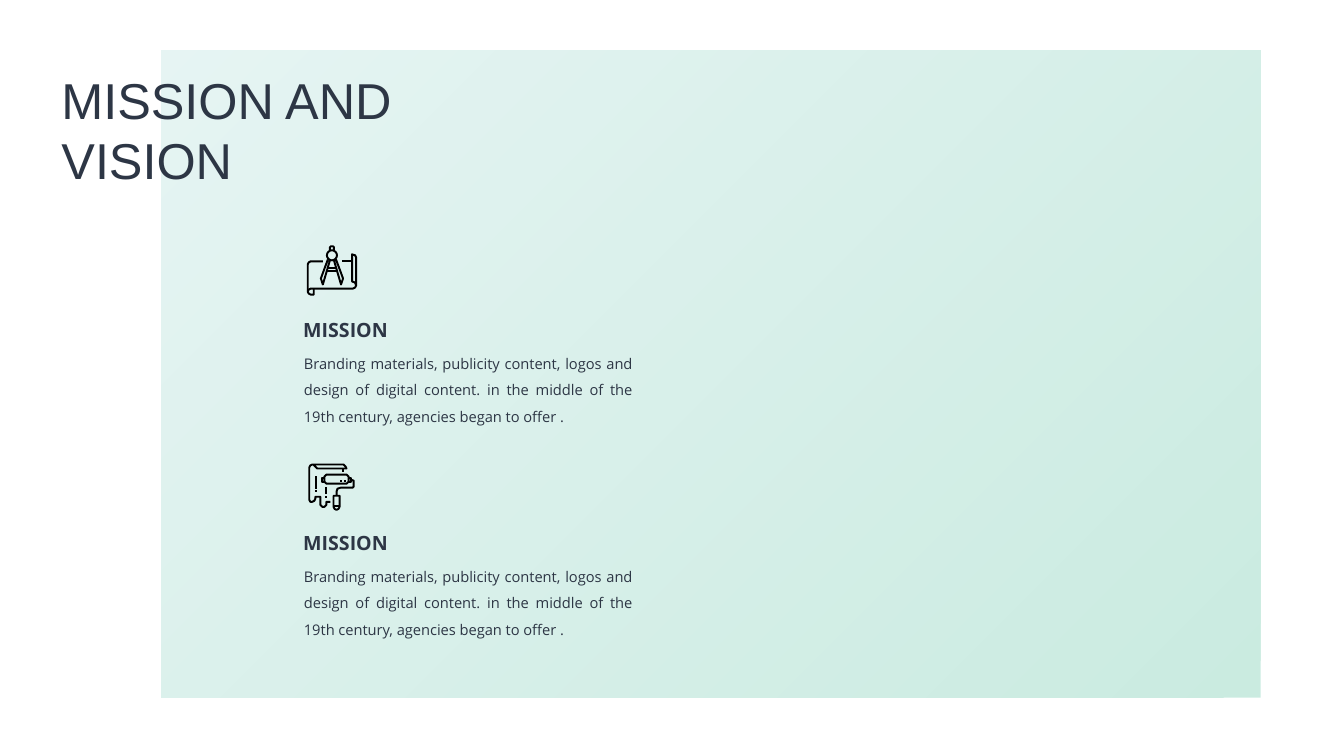
from dataclasses import dataclass
from math import cos, pi, sin

from lxml import etree
from pptx import Presentation
from pptx import util as u
from pptx.dml.color import RGBColor
from pptx.enum import shapes, text
from pptx.oxml.ns import qn


@dataclass(frozen=True)
class Theme:
    ink: str = "2D3645"
    icon: str = "000000"
    panel_start: str = "50BE99"
    panel_end: str = "ADDDDA"
    panel_opacity: int = 30
    title_font: str = "Arial"
    body_font: str = "Open Sans"
    title_size: float = 36
    heading_size: float = 14
    body_size: float = 10.5
    icon_line: float = 1.4
    icon_grid: float = 2.54  # length of 100 grid steps


STATEMENT = ("Branding materials, publicity content, logos and design of digital content. "
             "in the middle of the 19th century, agencies began to offer .")

SHEET = [
    [(16, 16), (4, 16), (2, 17), (1, 19), (1, 46), (2, 48), (4, 49), (7, 49), (7, 43)],
    [(1, 46), (2, 44), (4, 43), (46, 43), (48, 42), (49, 40), (49, 12), (48, 10),
     (45, 9), (45, 36), (48, 37), (49, 40)],
    [(35, 16), (45, 16)],
]
HINGE = [(25 + 5 * cos(k * pi / 8), 10 + 5 * sin(k * pi / 8)) for k in range(17)]
LEFT_LEG = [(21, 14), (14, 33), (16, 39), (23, 15)]
COMPASS = [
    HINGE,
    [(23, 5), (23, 2), (24, 1), (26, 1), (27, 2), (27, 5)],
    LEFT_LEG,
    [(50 - x, y) for x, y in LEFT_LEG],
    [(21, 23), (29, 23)],
    [(20, 26), (30, 26)],
]
ROLLER = [
    [(18, 11), (38, 11), (40, 13), (40, 18), (38, 20), (18, 20), (16, 18), (16, 13), (18, 11)],
    [(16, 14), (14, 14), (14, 18), (16, 18)],
    [(40, 14), (42, 14), (42, 18), (40, 18)],
    [(42, 16), (45, 17), (45, 23), (44, 24), (32, 24), (29, 25), (28, 28), (28, 32)],
    [(25, 32), (31, 32), (31, 43), (30, 45), (28, 46), (26, 45), (25, 43), (25, 32)],
    [(25, 42), (31, 42)],
]
PAINT = [
    [(22, 38), (18, 38), (18, 41), (16, 43), (14, 43), (12, 41), (12, 33), (7, 33),
     (7, 35), (6, 37), (4, 38), (2, 38), (1, 36), (1, 4), (2, 2), (4, 1), (35, 1),
     (37, 3), (38, 5), (9, 5), (7, 3), (5, 1)],
    [(34, 5), (34, 8)],
]
# left, top and height of each drip and dot on the icon grid
DRIPS = [(7, 12, 13), (17, 23, 7), (7, 26, 2), (17, 32, 2), (31, 16, 2), (35, 16, 2)]
DRIP_WIDTH = 2


class SlideBuilder:
    def __init__(self, slide, theme):
        self.shapes = slide.shapes
        self.theme = theme

    def panel(self, left, top, width, height):
        """Translucent gradient rectangle turned by a quarter; the box is given before turning."""
        panel = self.shapes.add_shape(shapes.MSO_SHAPE.RECTANGLE, u.Cm(left), u.Cm(top),
                                      u.Cm(width), u.Cm(height))
        panel.rotation = 90
        panel.shadow.inherit = False
        panel.line.fill.background()
        panel.fill.gradient()
        panel.fill.gradient_angle = 225
        colors = (self.theme.panel_start, self.theme.panel_end)
        for position, (stop, color) in enumerate(zip(panel.fill.gradient_stops, colors)):
            stop.position = position
            stop.color.rgb = RGBColor.from_string(color)
        for color in panel._element.spPr.iter(qn("a:srgbClr")):
            etree.SubElement(color, qn("a:alpha"), val=str(self.theme.panel_opacity * 1000))

    def label(self, words, left, top, width, height, size, font=None, bold=False,
              spacing=None, align=None):
        box = self.shapes.add_textbox(u.Cm(left), u.Cm(top), u.Cm(width), u.Cm(height))
        box.text_frame.word_wrap = True
        box.text_frame.auto_size = text.MSO_AUTO_SIZE.SHAPE_TO_FIT_TEXT
        paragraph = box.text_frame.paragraphs[0]
        paragraph.text = words
        paragraph.alignment = align
        paragraph.line_spacing = spacing
        paragraph.font.name = font or self.theme.body_font
        paragraph.font.size = u.Pt(size)
        paragraph.font.bold = bold
        paragraph.font.color.rgb = RGBColor.from_string(self.theme.ink)

    def outline(self, contours, left, top):
        """Freeform from point lists on the icon grid, drawn ten times finer to keep curves."""
        finer = [[(10 * x, 10 * y) for x, y in contour] for contour in contours]
        builder = self.shapes.build_freeform(*finer[0][0],
                                             scale=u.Cm(self.theme.icon_grid) / 1000)
        for contour in finer:
            builder.move_to(*contour[0])
            builder.add_line_segments(contour[1:], close=False)
        outline = builder.convert_to_shape(u.Cm(left), u.Cm(top))
        outline.shadow.inherit = False
        return outline

    def strokes(self, contours, left, top):
        strokes = self.outline(contours, left, top)
        strokes.fill.background()
        strokes.line.width = u.Pt(self.theme.icon_line)
        strokes.line.color.rgb = RGBColor.from_string(self.theme.icon)

    def drip(self, x, y, height, left, top):
        right, bottom = x + DRIP_WIDTH, y + height
        corners = [(x, y), (right, y), (right, bottom), (x, bottom), (x, y)]
        drip = self.outline([corners], left, top)
        drip.fill.solid()
        drip.fill.fore_color.rgb = RGBColor.from_string(self.theme.icon)
        drip.line.fill.background()

    def statement(self, heading, body, top):
        self.label(heading, 7.39, top, 6.35, 1.07, self.theme.heading_size,
                   bold=True, spacing=1.5)
        self.label(body, 7.41, top + 0.99, 8.79, 2.21, self.theme.body_size,
                   spacing=1.5, align=text.PP_ALIGN.JUSTIFY)


def main():
    deck = Presentation()
    deck.slide_width, deck.slide_height = u.Cm(33.87), u.Cm(19.05)
    theme = Theme()
    page = SlideBuilder(deck.slides.add_slide(deck.slide_layouts[6]), theme)
    page.panel(9.76, -4.43, 16.31, 27.71)
    page.label("MISSION AND VISION", 1.3, 1.61, 11.07, 3.33, theme.title_size,
               font=theme.title_font)
    roller_corner = (7.77, 11.68)
    for part in (ROLLER, PAINT):
        page.strokes(part, *roller_corner)
    for drip in DRIPS:
        page.drip(*drip, *roller_corner)
    for part in (SHEET, COMPASS):
        page.strokes(part, 7.73, 6.18)
    for top in (7.6, 12.97):
        page.statement("MISSION", STATEMENT, top)
    deck.save("out.pptx")


if __name__ == "__main__":
    main()
